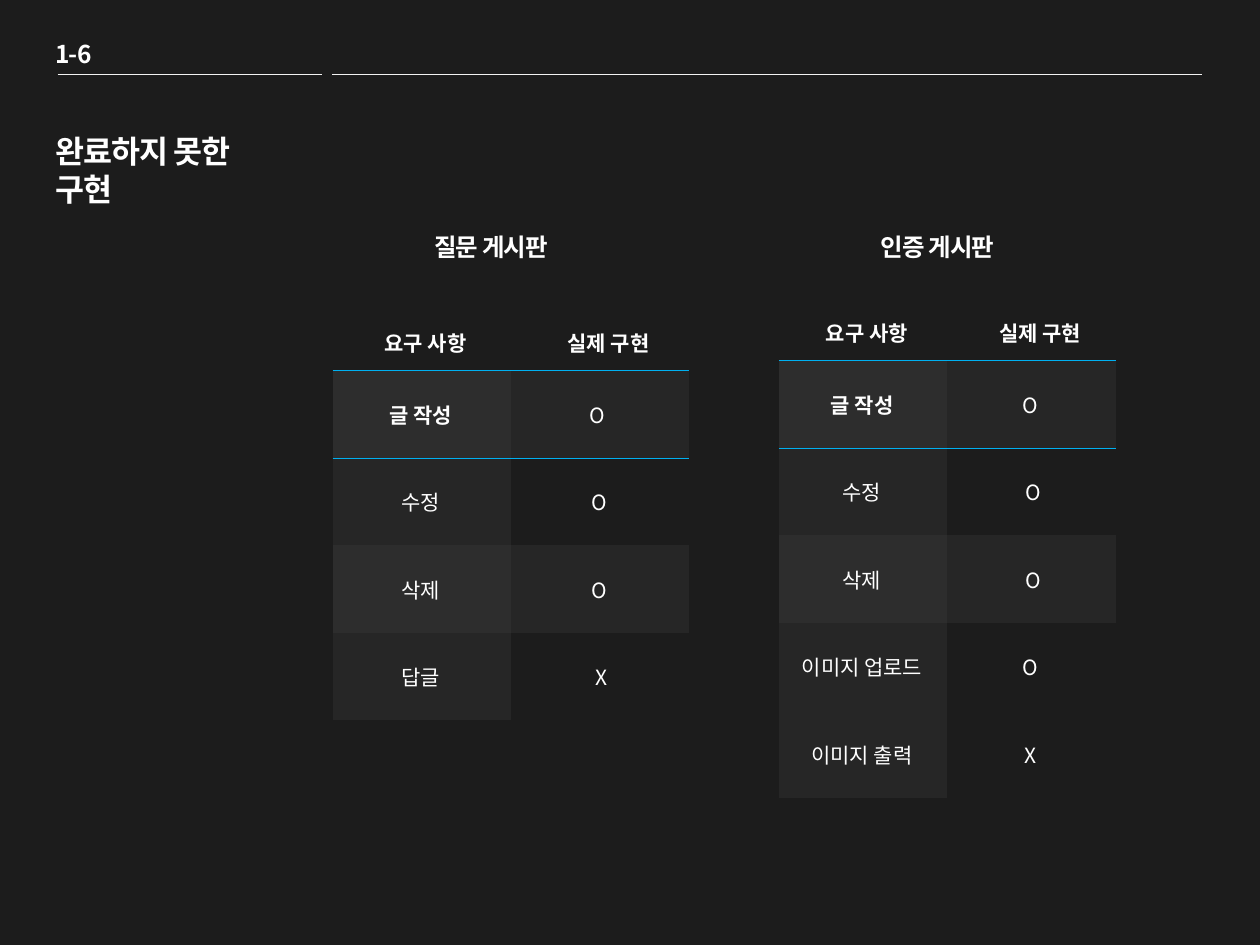
from lxml import etree
from pptx import Presentation
from pptx.dml.color import RGBColor
from pptx.enum.shapes import MSO_CONNECTOR
from pptx.enum.text import MSO_ANCHOR, MSO_AUTO_SIZE, PP_ALIGN
from pptx.oxml.ns import qn
from pptx.util import Pt

STRAIGHT = MSO_CONNECTOR.STRAIGHT
MIDDLE = MSO_ANCHOR.MIDDLE
CENTER = PP_ALIGN.CENTER
FIT_SHAPE = MSO_AUTO_SIZE.SHAPE_TO_FIT_TEXT
FONT = "Noto Sans CJK KR"
PLAIN_TABLE_STYLE = "{2D5ABB26-0587-4C30-8999-92F81FD0307C}"
COLORS = {
    "background": "1C1C1C",
    "text": "FFFFFF",
    "rule": "F2F2F2",
    "accent": "00B0F0",
    "light": "2D2D2D",
    "dark": "262626",
}


def add_run(paragraph, text, size, bold, spacing=0):
    run = paragraph.add_run()
    run.text = text
    run.font.size = Pt(size)
    run.font.bold = bold
    run.font.name = FONT
    run.font.color.rgb = RGBColor.from_string(COLORS["text"])
    properties = run.font._element
    etree.SubElement(properties, qn("a:ea")).set("typeface", FONT)
    if spacing:
        properties.set("spc", str(int(spacing * 100)))


def add_border(cell, side):
    line = etree.Element(qn(f"a:{side}"), w=str(Pt(0.25)))
    fill = etree.SubElement(line, qn("a:solidFill"))
    etree.SubElement(fill, qn("a:srgbClr"), val=COLORS["accent"])
    cell._tc.get_or_add_tcPr().insert(0, line)


presentation = Presentation()
presentation.slide_width = Pt(720)
presentation.slide_height = Pt(540)
slide = presentation.slides.add_slide(presentation.slide_layouts[6])
slide.background.fill.solid()
slide.background.fill.fore_color.rgb = RGBColor.from_string(COLORS["background"])

# Header rules
for start, end in [(33, 184), (190, 687)]:
    rule = slide.shapes.add_connector(STRAIGHT, Pt(start), Pt(42.5), Pt(end), Pt(42.5))
    rule.line.color.rgb = RGBColor.from_string(COLORS["rule"])
    rule.line.width = Pt(0.25)
    etree.SubElement(rule._element.spPr, qn("a:effectLst"))

# Title
title = slide.shapes.add_textbox(Pt(24.5), Pt(72), Pt(124.5), Pt(116))
title.text_frame.word_wrap = True
paragraph = title.text_frame.paragraphs[0]
add_run(paragraph, "완료하지 못한", 18, True, -0.5)
paragraph.add_line_break()
add_run(paragraph, "구현", 18, True, -0.5)

# Section number and table headings
for text, left, top, width in [
    ("1-6", 24.5, 18.5, 35),
    ("질문 게시판", 241, 129, 81.5),
    ("인증 게시판", 496, 129, 81.5),
]:
    label = slide.shapes.add_textbox(Pt(left), Pt(top), Pt(width), Pt(24.5))
    label.text_frame.word_wrap = False
    label.text_frame.auto_size = FIT_SHAPE
    add_run(label.text_frame.paragraphs[0], text, 14, True, -0.5)

# Requirement tables: left, top, column width, rows
HEADER = ("요구 사항", "실제 구현")
HEADER_INDENTS = (5.4, 10.8)
HEADER_HEIGHT, ROW_HEIGHT = 32.4, 50
tables = [
    (190, 179.3, 102,
     [HEADER, ("글 작성", "O "), ("수정", "O"), ("삭제", "O"), ("답글", " X")]),
    (445, 173.5, 96.4,
     [HEADER, ("글 작성", " O "), ("수정", " O"), ("삭제", " O"),
      ("이미지 업로드", "O"), ("이미지 출력", "X")]),
]
for left, top, column_width, rows in tables:
    height = HEADER_HEIGHT + ROW_HEIGHT * (len(rows) - 1)
    frame = slide.shapes.add_table(
        len(rows), 2, Pt(left), Pt(top), Pt(2 * column_width), Pt(height))
    table = frame.table
    table.horz_banding = False
    table._tbl.tblPr.find(qn("a:tableStyleId")).text = PLAIN_TABLE_STYLE
    for column in table.columns:
        column.width = Pt(column_width)
    for row_index, row in enumerate(rows):
        table.rows[row_index].height = Pt(ROW_HEIGHT if row_index else HEADER_HEIGHT)
        # The first and third body rows are banded
        banded = row_index in (1, 3)
        for column_index, text in enumerate(row):
            cell = table.cell(row_index, column_index)
            indent = 0 if row_index else HEADER_INDENTS[column_index]
            cell.margin_left = Pt(6 + indent)
            cell.margin_right = Pt(7.2)
            cell.margin_top = cell.margin_bottom = Pt(3.6)
            cell.vertical_anchor = MIDDLE
            paragraph = cell.text_frame.paragraphs[0]
            paragraph.alignment = CENTER
            bold = row_index == 0 or (row_index == 1 and column_index == 0)
            add_run(paragraph, text, 12, bold)
            if row_index and (banded or column_index == 0):
                shade = "light" if banded and column_index == 0 else "dark"
                cell.fill.solid()
                cell.fill.fore_color.rgb = RGBColor.from_string(COLORS[shade])
            else:
                cell.fill.background()
            if row_index < 2:
                add_border(cell, "lnT" if row_index else "lnB")

presentation.save("out.pptx")
